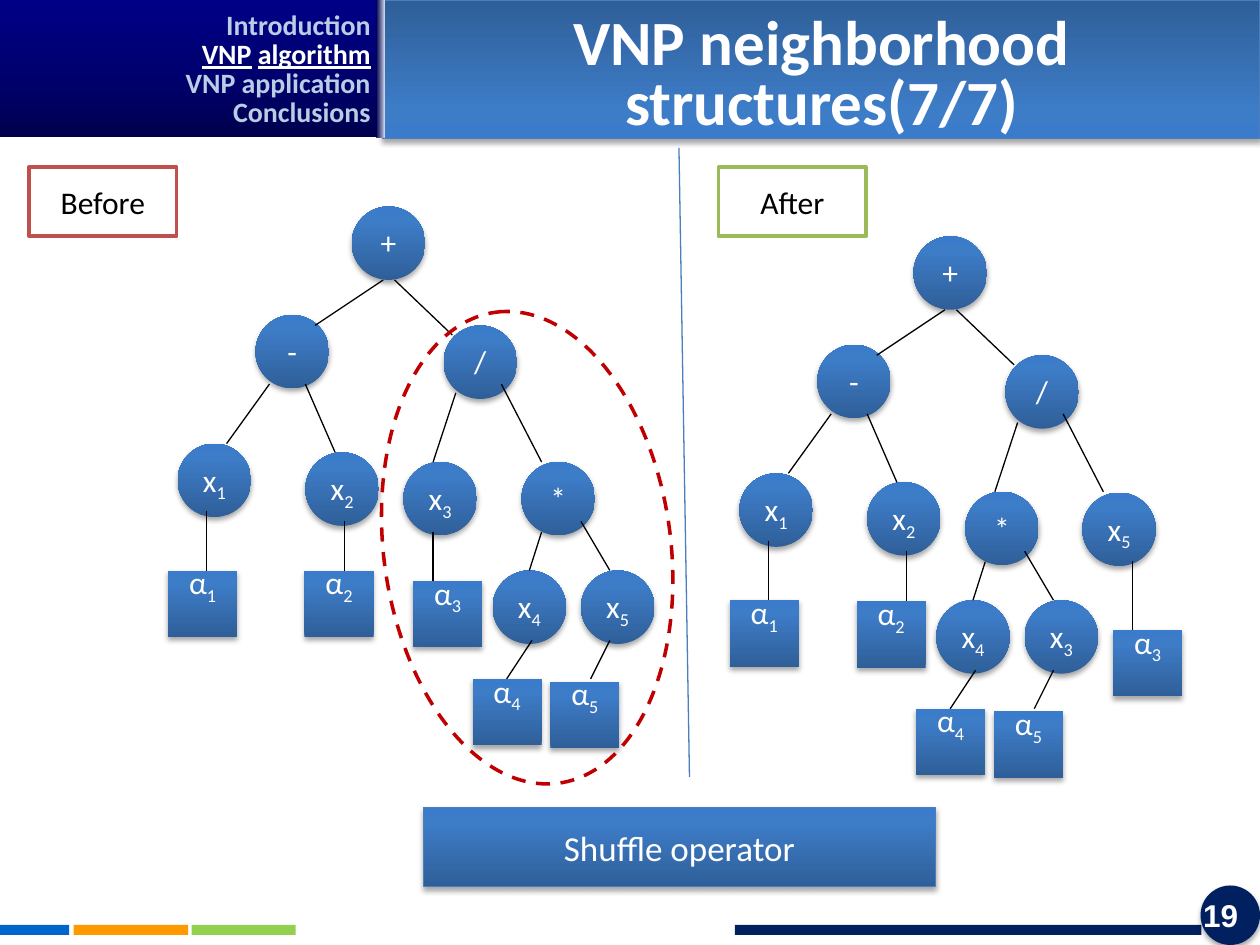
from pptx import Presentation
from pptx.dml.color import RGBColor
from pptx.enum.dml import MSO_LINE
from pptx.enum.shapes import MSO_CONNECTOR, MSO_SHAPE
from pptx.enum.text import MSO_ANCHOR, MSO_AUTO_SIZE, PP_ALIGN
from pptx.oxml import parse_xml
from pptx.oxml.ns import nsdecls
from pptx.util import Pt

TITLE = "VNP neighborhood structures(7/7)"
SECTIONS = ["Introduction", "VNP algorithm", "VNP application", "Conclusions"]
CURRENT_SECTION = "VNP algorithm"
NAVY, WHITE, OUTLINE = "002060", "FFFFFF", "4B7EBC"
BLUE_STOPS = [(0, "2F5F99", 100), (80, "3D7CC7", 100), (100, "3A7CCB", 100)]
NAV_STOPS = [(0, "00004F", 100), (50, "000071", 100), (100, "000086", 100)]
EDGE_STOPS = [(16, "000051", 88), (100, "E1E8F5", 100)]
FOOTER_BARS = [(420, 266.5, NAVY), (109.5, 59.5, "92D050"),
               (0, 39.5, "0066CC"), (42, 65.5, "FF9900")]
LABELS = [("Before", 16.5, "C0504D"), ("After", 410.5, "9BBB59")]
CIRCLE, SQUARE = (42, 42), (39.5, 38)

# Each branch: circles (label, left, top), edges (x1, y1, x2, y2), squares (label, left, top).
TRUNK = {
    "circles": [("+", 201, 118), ("-", 146, 180), ("/", 253.5, 186),
                ("x1", 101.5, 253.5), ("x2", 174.5, 258.5)],
    "edges": [(180, 186, 219, 160), (258.5, 191.5, 225.5, 160),
              (191.5, 258.5, 174.5, 219.5), (129.5, 253.5, 154, 219.5),
              (247.5, 264, 260.5, 224.5), (309.5, 264, 286.5, 219.5),
              (118, 292, 118, 332), (197, 298, 197, 338)],
    "squares": [("α1", 96, 326)],
}


def product_branch(right_label):
    """Return the branch under the * node with the given right operand."""
    return {
        "circles": [("*", 298, 264), ("x4", 281.5, 326), (right_label, 332, 326)],
        "edges": [(304, 366, 289.5, 388), (309.5, 304, 302.5, 326),
                  (337.5, 388, 348.5, 366), (348.5, 326, 332, 298)],
        "squares": [("α4", 270, 388), ("α5", 314.5, 389.5)],
    }


def leaf_branch(circle, edge, *squares):
    """Return a single operand with its weights."""
    return {"circles": [circle], "edges": [edge], "squares": squares}


# Each tree: (branch, shift right, shift down).
BEFORE = [
    (TRUNK, 0, 0), (product_branch("x5"), 0, 0),
    (leaf_branch(("x3", 230.5, 264), (247.5, 304, 247.5, 343.5),
                 ("α2", 174, 326), ("α3", 236, 332)), 0, 0),
]
AFTER = [
    (TRUNK, 321, 17), (product_branch("x3"), 253.5, 17),
    (leaf_branch(("x5", 618.5, 281.5), (647, 320.5, 647, 360),
                 ("α2", 489.5, 343.5), ("α3", 636, 360)), 0, 0),
]


def color(value):
    """Turn a hex string into a colour."""
    return RGBColor.from_string(value)


def set_gradient(shape, stops, angle):
    """Fill a shape with a linear gradient, angle clockwise in degrees."""
    marks = "".join(
        f'<a:gs pos="{place * 1000}"><a:srgbClr val="{value}">'
        f'<a:alpha val="{alpha * 1000}"/></a:srgbClr></a:gs>'
        for place, value, alpha in stops)
    shape.fill.background()
    blank = shape.element.spPr.find("{*}noFill")
    blank.getparent().replace(blank, parse_xml(
        f'<a:gradFill {nsdecls("a")} rotWithShape="1"><a:gsLst>{marks}</a:gsLst>'
        f'<a:lin ang="{angle * 60000}" scaled="0"/></a:gradFill>'))


def add_box(kind, bounds, fill=None, angle=270, line=None, width=0.75, shadow=False):
    """Add a preset shape; fill is a hex string, gradient stops or None."""
    shape = page.shapes.add_shape(kind, *map(Pt, bounds))
    if fill is None:
        shape.fill.background()
    elif isinstance(fill, str):
        shape.fill.solid()
        shape.fill.fore_color.rgb = color(fill)
    else:
        set_gradient(shape, fill, angle)
    if line:
        shape.line.color.rgb = color(line)
        shape.line.width = Pt(width)
    else:
        shape.line.fill.background()
    shape.shadow.inherit = False
    if shadow:
        shape.element.spPr.find("{*}effectLst").append(parse_xml(
            f'<a:outerShdw {nsdecls("a")} blurRad="{Pt(3.1)}" dist="{Pt(1.8)}" '
            'dir="5400000" rotWithShape="0"><a:srgbClr val="000000">'
            '<a:alpha val="35000"/></a:srgbClr></a:outerShdw>'))
    return shape


def add_span(paragraph, text, size=18, value=WHITE, bold=False, font="Calibri"):
    """Add one formatted run."""
    span = paragraph.add_run()
    span.text = text
    span.font.name, span.font.size, span.font.bold = font, Pt(size), bold
    span.font.color.rgb = color(value)
    return span


def write(shape, text, align=PP_ALIGN.CENTER, **style):
    """Write one line in a shape."""
    paragraph = shape.text_frame.paragraphs[0]
    paragraph.alignment = align
    add_span(paragraph, text, **style)


def add_line(ends, value="000000"):
    """Add a thin straight line."""
    line = page.shapes.add_connector(MSO_CONNECTOR.STRAIGHT, *map(Pt, ends))
    line.line.color.rgb = color(value)
    line.line.width = Pt(0.75)
    line.element.spPr.append(parse_xml(f'<a:effectLst {nsdecls("a")}/>'))


def add_node(kind, size, label, left, top):
    """Add a tree node whose label is a letter and an optional subscript."""
    node = add_box(kind, (left, top, *size), BLUE_STOPS, shadow=True)
    frame = node.text_frame
    if kind == MSO_SHAPE.OVAL:
        frame.word_wrap = False
        frame.vertical_anchor = MSO_ANCHOR.TOP
    else:
        frame.vertical_anchor = MSO_ANCHOR.MIDDLE
        frame.margin_top, frame.margin_bottom = Pt(0), Pt(22)
    write(node, label[0])
    if label[1:]:
        span = add_span(frame.paragraphs[0], label[1:])
        span.font._element.set("baseline", "-25000")


def add_tree(tree):
    """Draw every branch of a tree at its shift."""
    for branch, right, down in tree:
        for label, left, top in branch["circles"]:
            add_node(MSO_SHAPE.OVAL, CIRCLE, label, left + right, top + down)
    for branch, right, down in tree:
        for x1, y1, x2, y2 in branch["edges"]:
            add_line((x1 + right, y1 + down, x2 + right, y2 + down))
        for label, left, top in branch["squares"]:
            add_node(MSO_SHAPE.RECTANGLE, SQUARE, label, left + right, top + down)


def place(holder, left, top, width, height):
    """Move a placeholder in front of the panels and clear its autofit."""
    holder.left, holder.top, holder.width, holder.height = map(Pt, (left, top, width, height))
    holder.element.getparent().append(holder.element)
    holder.text_frame.auto_size = MSO_AUTO_SIZE.NONE
    holder.text_frame.vertical_anchor = MSO_ANCHOR.TOP
    return holder.text_frame


deck = Presentation()
deck.slide_width, deck.slide_height = Pt(720), Pt(540)
page = deck.slides.add_slide(deck.slide_layouts[1])
heading, sections = page.placeholders

# Header
add_box(MSO_SHAPE.RECTANGLE, (0, 0, 215.5, 78.5), NAV_STOPS)
add_box(MSO_SHAPE.RECTANGLE, (218.5, 0, 501.5, 79), BLUE_STOPS, 90, OUTLINE, shadow=True)
add_box(MSO_SHAPE.RECTANGLE, (215, 0, 4.5, 78.5), EDGE_STOPS, 0)
frame = place(heading, 224.5, 6, 490, 77)
write(heading, TITLE, size=36, bold=True)
frame.paragraphs[0].line_spacing = 0.8
frame.paragraphs[0].space_before = Pt(3.8)
frame = place(sections, 84, 6, 135, 73.5)
for index, section in enumerate(SECTIONS):
    paragraph = frame.add_paragraph() if index else frame.paragraphs[0]
    paragraph.alignment = PP_ALIGN.RIGHT
    paragraph.line_spacing, paragraph.space_before = 0.7, Pt(3.2)
    properties = paragraph._p.get_or_add_pPr()
    properties.set("marL", "0")
    properties.set("indent", "0")
    properties.append(parse_xml(f'<a:buNone {nsdecls("a")}/>'))
    if section == CURRENT_SECTION:
        first, second = section.split()
        add_span(paragraph, first, 16, WHITE, True).font.underline = True
        add_span(paragraph, " ", 16, "B9CDE5", True)
        add_span(paragraph, second, 16, WHITE, True).font.underline = True
    else:
        add_span(paragraph, section, 16, "B9CDE5", True)

# Footer
for left, width, value in FOOTER_BARS:
    add_box(MSO_SHAPE.RECTANGLE, (left, 528.5, width, 5.75), value)
add_box(MSO_SHAPE.OVAL, (686, 506, 34, 34), NAVY, shadow=True)
number = page.shapes.add_textbox(Pt(675), Pt(506), Pt(39.5), Pt(34))
number.text_frame.word_wrap = True
number.text_frame.vertical_anchor = MSO_ANCHOR.MIDDLE
write(number, "19", PP_ALIGN.RIGHT, bold=True, font="Arial")

# Trees
add_tree(BEFORE)
ring = add_box(MSO_SHAPE.OVAL, (165.5, 231, 271.5, 164), line="C00000", width=2)
ring.rotation = 82.4
ring.line.dash_style = MSO_LINE.DASH
add_line((388, 84.5, 394, 444), OUTLINE)
add_tree(AFTER)
for text, left, value in LABELS:
    label = add_box(MSO_SHAPE.RECTANGLE, (left, 95.5, 84.5, 39.5), WHITE, line=value, width=2)
    write(label, text, value="000000")
operator = add_box(MSO_SHAPE.RECTANGLE, (242, 461.5, 292.5, 45), BLUE_STOPS,
                   line=OUTLINE, shadow=True)
write(operator, "Shuffle operator", size=20)

deck.save("out.pptx")
